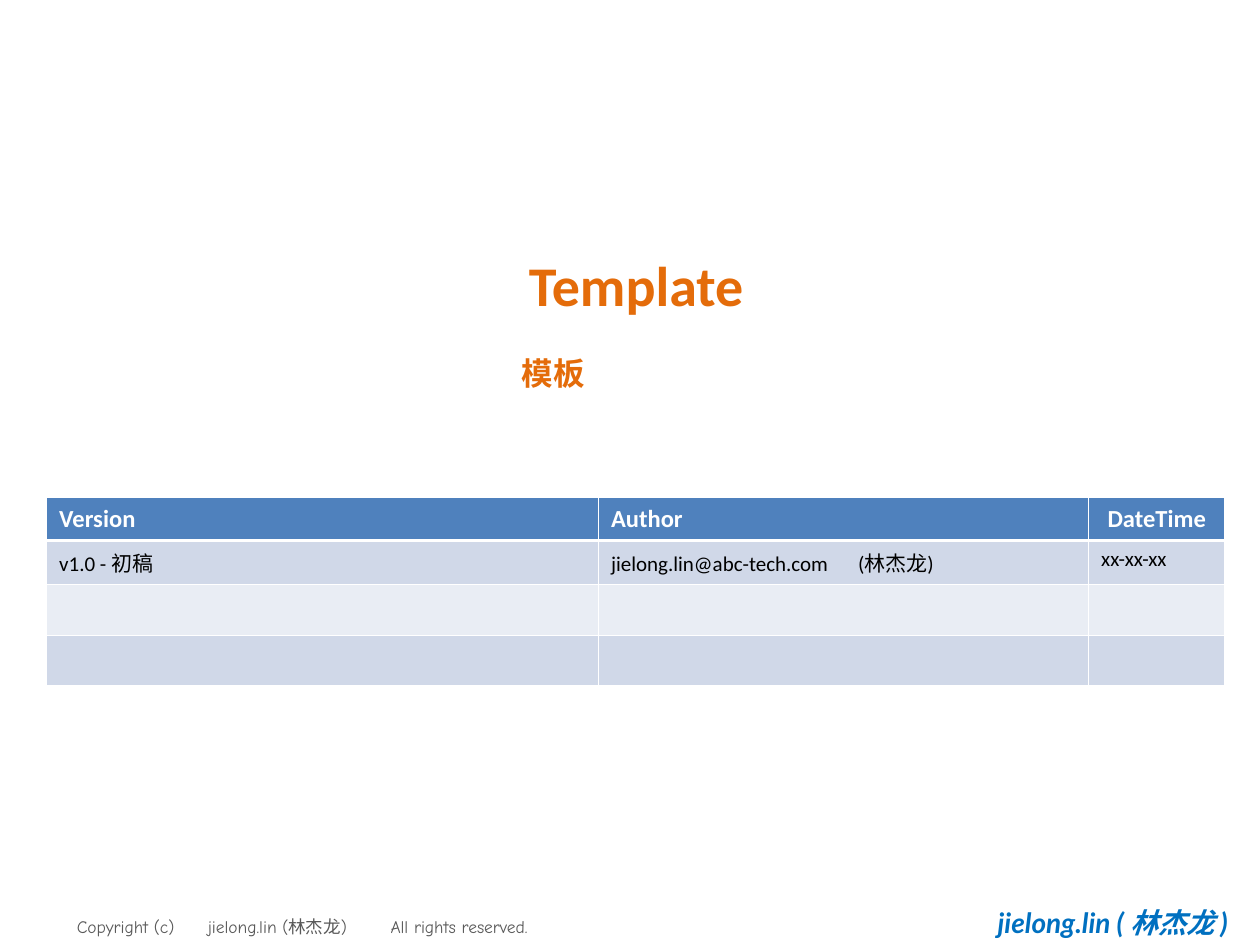
from lxml.etree import SubElement
from pptx import Presentation
from pptx.dml.color import RGBColor
from pptx.enum.text import MSO_ANCHOR, PP_ALIGN
from pptx.oxml.ns import qn
from pptx.util import Inches, Pt

ORANGE, WHITE, BLACK = "E46C0A", "FFFFFF", "000000"
FILLS = ["4F81BD", "D0D8E8", "E9EDF4", "D0D8E8"]
COLUMNS = [4.38, 3.89, 1.08]
ROWS = [0.34, 0.35, 0.38, 0.38]
CONTENT = [
    ["Version", "Author", "DateTime"],
    ["v1.0 - 初稿", "jielong.lin@abc-tech.com\t(林杰龙)", "xx-xx-xx"],
]


def color(value):
    return RGBColor.from_string(value)


def add_tabs(para, stops):
    tabs = SubElement(para._p.get_or_add_pPr(), qn("a:tabLst"))
    for stop in stops:
        SubElement(tabs, qn("a:tab"), pos=str(Inches(stop)), algn="l")


def add_run(para, text, size, font, ink, bold=False, italic=False):
    span = para.add_run()
    span.text = text
    span.font.size = Pt(size)
    span.font.name = font
    span.font.bold = bold
    span.font.italic = italic
    span.font.color.rgb = color(ink)
    SubElement(span._r.get_or_add_rPr(), qn("a:ea"), typeface="Noto Sans CJK SC")


def add_text_box(page, left, top, width, height, inset=0.1):
    box = page.shapes.add_textbox(*map(Inches, (left, top, width, height)))
    frame = box.text_frame
    frame.word_wrap = True
    frame.margin_left = Inches(inset)
    return frame


def add_title(page, text):
    title = page.shapes.title
    title.left, title.top, title.width, title.height = map(Inches, (0.55, 1.94, 9, 1.22))
    title.text_frame.vertical_anchor = MSO_ANCHOR.TOP
    para = title.text_frame.paragraphs[0]
    para.alignment = PP_ALIGN.CENTER
    add_run(para, text, 32, "Calibri", ORANGE, bold=True)


def style_cell(cell, row):
    properties = cell._tc.get_or_add_tcPr()
    heavy = {0: "lnB", 1: "lnT"}.get(row)
    for side in ("lnL", "lnR", "lnT", "lnB"):
        width = Pt(1.47 if side == heavy else 0.45)
        line = SubElement(properties, qn(f"a:{side}"), w=str(width))
        fill = SubElement(line, qn("a:solidFill"))
        SubElement(fill, qn("a:srgbClr"), val=WHITE)
    cell.fill.solid()
    cell.fill.fore_color.rgb = color(FILLS[row])


def add_history(page):
    frame = page.shapes.add_table(
        len(ROWS), len(COLUMNS), Inches(0.37), Inches(3.95),
        Inches(sum(COLUMNS)), Inches(sum(ROWS)))
    table = frame.table
    for column, width in zip(table.columns, COLUMNS):
        column.width = Inches(width)
    for index, height in enumerate(ROWS):
        table.rows[index].height = Inches(height)
        for cell in table.rows[index].cells:
            style_cell(cell, index)
    for index, texts in enumerate(CONTENT):
        header = index == 0
        for cell, text in zip(table.rows[index].cells, texts):
            para = cell.text_frame.paragraphs[0]
            if "\t" in text:
                add_tabs(para, [1.96])
            add_run(para, text, 14 if header else 12, "Calibri",
                    WHITE if header else BLACK, bold=header)
    table.cell(0, 2).margin_left = Inches(0.15)


def add_footer(page):
    para = add_text_box(page, 0, 7.22, 4.84, 0.27, inset=0.61).paragraphs[0]
    add_tabs(para, [1.04, 2.49])
    add_run(para, "Copyright (c)\tjielong.lin (林杰龙)\tAll rights reserved.",
            10, "Comic Neue", "595959")
    signature = add_text_box(page, 7.82, 7, 2.2, 0.64)
    signature.vertical_anchor = MSO_ANCHOR.MIDDLE
    para = signature.paragraphs[0]
    for text, font in (("jielong.lin ( ", "Lato"), ("林杰龙 ", "Noto Sans CJK SC"), (")", "Lato")):
        add_run(para, text, 16, font, "0070C0", bold=True, italic=True)


def main():
    deck = Presentation()
    deck.slide_width, deck.slide_height = Inches(10), Inches(7.5)
    page = deck.slides.add_slide(deck.slide_layouts[5])
    add_footer(page)
    add_title(page, "Template")
    add_history(page)
    subtitle = add_text_box(page, 2.15, 2.76, 6.5, 0.7, inset=1.99)
    add_run(subtitle.paragraphs[0], "模板", 18, "Arial", ORANGE, bold=True)
    deck.save("out.pptx")


if __name__ == "__main__":
    main()
